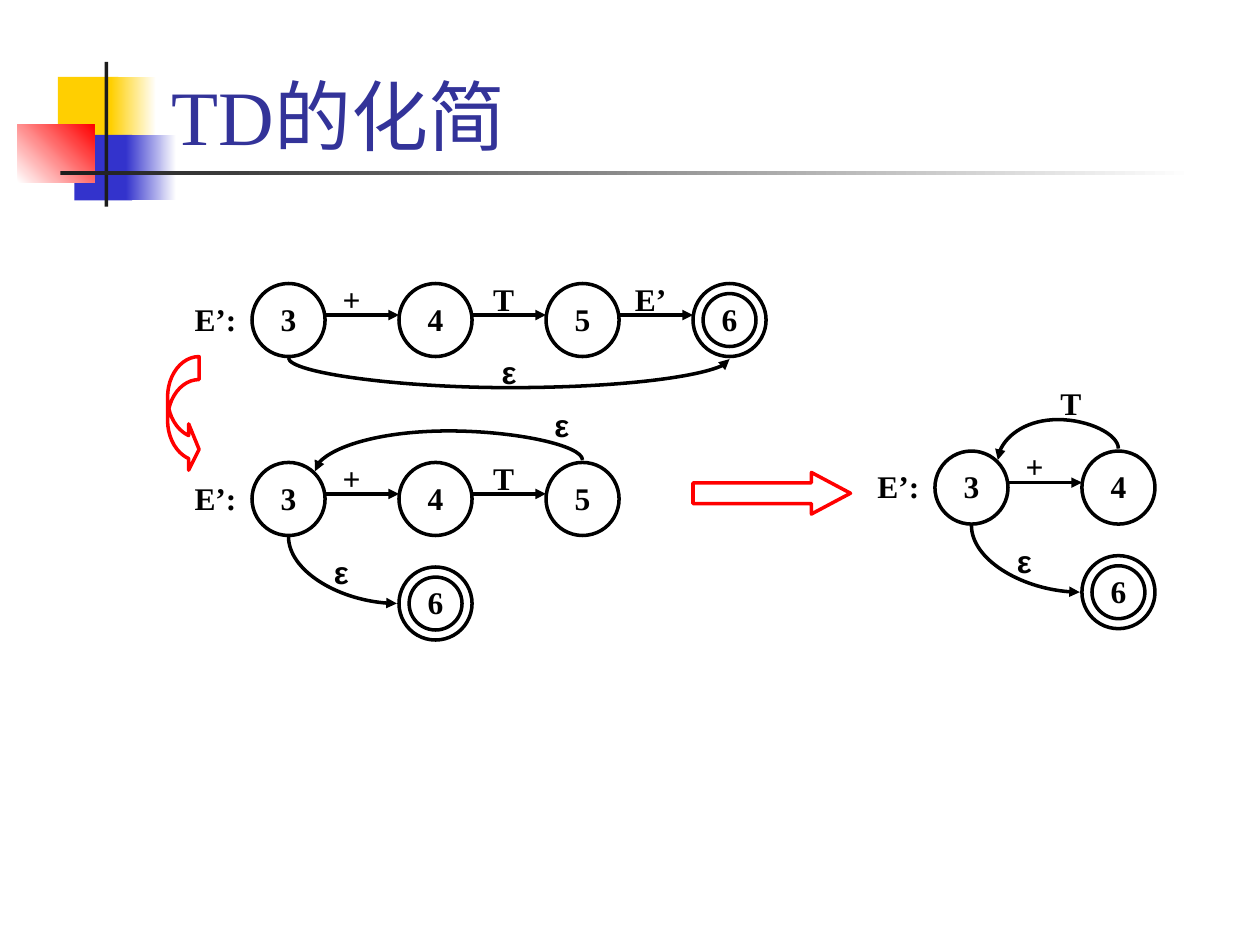
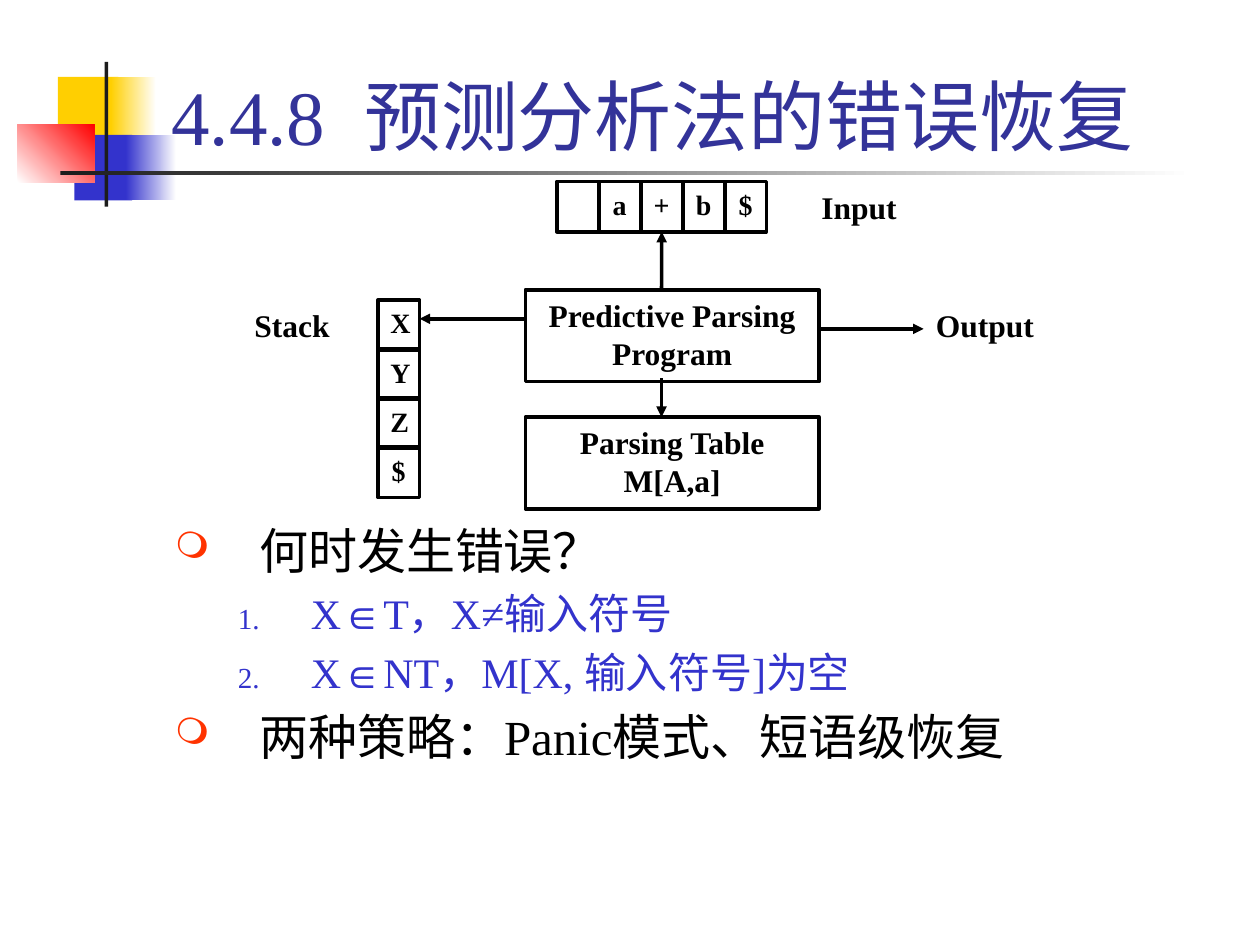
"""Build two slides on simplifying transition diagrams and on predictive parsing error recovery."""
from dataclasses import dataclass
from typing import Optional

from lxml.etree import SubElement
from pptx import Presentation
from pptx.dml.color import RGBColor
from pptx.enum.shapes import MSO_CONNECTOR, MSO_SHAPE
from pptx.enum.text import MSO_ANCHOR, MSO_AUTO_SIZE, PP_ALIGN
from pptx.oxml.ns import qn
from pptx.util import Inches, Pt


@dataclass(frozen=True)
class Theme:
    black: str = "000000"
    white: str = "FFFFFF"
    red: str = "FF0000"
    title: str = "333399"
    blue: str = "3333CC"
    yellow: str = "FFCF01"
    rule: str = "1C1C1C"
    bullet: str = "FF3300"
    font: str = "Times New Roman"
    epsilon_font: str = "Arial"
    title_size: int = 44
    body_size: int = 28
    item_size: int = 24
    label_size: int = 18
    cell_size: int = 16
    line_width: int = 2


@dataclass(frozen=True)
class Band:
    left: float
    top: float
    width: float
    height: float
    start: str
    end: Optional[str] = None
    angle: int = 0


@dataclass(frozen=True)
class Node:
    label: str
    column: int
    drop: float = 0
    final: bool = False


@dataclass(frozen=True)
class Label:
    text: str
    left: float
    top: float
    width: float = 0.42


@dataclass(frozen=True)
class Curve:
    start: tuple[float, float]
    end: tuple[float, float]
    turn: Optional[float] = None


@dataclass(frozen=True)
class TransitionDiagram:
    left: float
    top: float
    nodes: tuple[Node, ...]
    edges: tuple[str, ...]
    curves: tuple[Curve, ...]
    labels: tuple[Label, ...]


@dataclass(frozen=True)
class BodyLine:
    text: str
    numbered: bool = False


THEME = Theme()
BANDS = (
    Band(0.46, 0.61, 0.48, 0.52, THEME.yellow),
    Band(0.88, 0.61, 0.36, 0.52, THEME.yellow, THEME.white),
    Band(0.59, 1.07, 0.46, 0.52, THEME.blue),
    Band(1, 1.07, 0.4, 0.52, THEME.blue, THEME.white),
    Band(0.14, 0.99, 0.61, 0.46, THEME.white, THEME.red, 45),
    Band(0.83, 0.49, 0.03, 1.15, THEME.rule),
    Band(0.48, 1.36, 9, 0.03, THEME.rule, THEME.white),
)
NODE_STEP = 7 / 6
NODE_SIZE = 0.58
RING_GAP = 0.08
LABEL_HEIGHT = 0.4


def return_curve(column: int) -> Curve:
    """Give the arc from the top of a node back to the first node."""
    return Curve((column * NODE_STEP + 0.29, -0.02), (0.5, 0.07), -0.25)


EXIT_NODE = Node("6", 1, 0.83, True)
EXIT_CURVE = Curve((0.29, 0.59), (1.15, 1.12))
EXIT_LABEL = Label("ε", 0.5, 0.67)
DIAGRAMS = (
    TransitionDiagram(
        2, 2.25, (Node("3", 0), Node("4", 1), Node("5", 2), Node("6", 3, final=True)),
        ("+", "T", "E’"), (Curve((0.29, 0.59), (3.79, 0.6), 0.83),), (Label("ε", 1.83, 0.5),)),
    TransitionDiagram(
        2, 3.67, (Node("3", 0), Node("4", 1), Node("5", 2), EXIT_NODE),
        ("+", "T"), (EXIT_CURVE, return_curve(2)), (EXIT_LABEL, Label("ε", 2.25, -0.5))),
    TransitionDiagram(
        7.42, 3.58, (Node("3", 0), Node("4", 1), EXIT_NODE),
        ("+",), (EXIT_CURVE, return_curve(1)), (EXIT_LABEL, Label("T", 0.83, -0.58, 0.5))),
)
BODY_LINES = (
    BodyLine("何时发生错误？"),
    BodyLine("X∈T，X≠输入符号", True),
    BodyLine("X∈NT，M[X, 输入符号]为空", True),
    BodyLine("两种策略：Panic模式、短语级恢复"),
)


def write_text(paragraph, text: str, *, size: int = THEME.label_size, color: str = THEME.black,
               font: str = THEME.font, bold: bool = True, align=PP_ALIGN.CENTER) -> None:
    """Add one formatted run to a paragraph."""
    paragraph.alignment = align
    run = paragraph.add_run()
    run.text = text
    run.font.size = Pt(size)
    run.font.name = font
    run.font.bold = bold
    run.font.color.rgb = RGBColor.from_string(color)


def prepare_frame(text_frame, anchor=MSO_ANCHOR.TOP):
    """Make a frame wrap at a fixed size and return its first paragraph."""
    text_frame.word_wrap = True
    text_frame.auto_size = MSO_AUTO_SIZE.NONE
    text_frame.vertical_anchor = anchor
    return text_frame.paragraphs[0]


def add_label(slide, text: str, left: float, top: float, width: float, **text_format) -> None:
    """Place a one-line text box."""
    box = slide.shapes.add_textbox(Inches(left), Inches(top), Inches(width), Inches(LABEL_HEIGHT))
    write_text(prepare_frame(box.text_frame), text, **text_format)


def add_outline(slide, kind, left: float, top: float, width: float, height: float,
                color: str = THEME.black, text: str = "", size: int = THEME.label_size):
    """Draw an unfilled outlined shape, with text if given."""
    shape = slide.shapes.add_shape(kind, Inches(left), Inches(top), Inches(width), Inches(height))
    shape.shadow.inherit = False
    shape.fill.background()
    shape.line.color.rgb = RGBColor.from_string(color)
    shape.line.width = Pt(THEME.line_width)
    if text:
        write_text(prepare_frame(shape.text_frame), text, size=size)
    return shape


def add_arrow(slide, start: tuple[float, float], end: tuple[float, float],
              kind=MSO_CONNECTOR.STRAIGHT):
    """Draw a connector with an arrowhead at its end."""
    connector = slide.shapes.add_connector(kind, *(Inches(value) for value in (*start, *end)))
    connector.line.color.rgb = RGBColor.from_string(THEME.black)
    connector.line.width = Pt(THEME.line_width)
    properties = connector.element.spPr
    SubElement(properties.find(qn("a:ln")), qn("a:tailEnd"), type="triangle")
    SubElement(properties, qn("a:effectLst"))
    return connector


def add_curve(slide, left: float, top: float, curve: Curve) -> None:
    """Draw a curved arrow that leaves its start vertically and ends lower down."""
    (start_x, start_y), (end_x, end_y) = curve.start, curve.end
    half_drop, half_span = (end_y - start_y) / 2, abs(end_x - start_x) / 2
    center_x, center_y = left + (start_x + end_x) / 2, top + (start_y + end_y) / 2
    connector = add_arrow(slide, (center_x - half_drop, center_y - half_span),
                          (center_x + half_drop, center_y + half_span), MSO_CONNECTOR.CURVE)
    frame = connector.element.spPr.find(qn("a:xfrm"))
    frame.set("rot", str(270 * 60000))
    frame.set("flipH", "1")
    if end_x < start_x:
        frame.set("flipV", "1")
    geometry = connector.element.spPr.find(qn("a:prstGeom"))
    if curve.turn is None:
        geometry.set("prst", "curvedConnector2")
        return
    adjustment = round((curve.turn - start_y) / (end_y - start_y) * 100000)
    SubElement(geometry.find(qn("a:avLst")), qn("a:gd"), name="adj1", fmla=f"val {adjustment}")


def add_band(slide, band: Band) -> None:
    """Draw one solid or fading block of the slide decoration."""
    shape = slide.shapes.add_shape(MSO_SHAPE.RECTANGLE, Inches(band.left), Inches(band.top),
                                   Inches(band.width), Inches(band.height))
    shape.shadow.inherit = False
    shape.line.fill.background()
    if band.end is None:
        shape.fill.solid()
        shape.fill.fore_color.rgb = RGBColor.from_string(band.start)
        return
    shape.fill.gradient()
    shape.fill.gradient_angle = band.angle
    for stop, color in zip(shape.fill.gradient_stops, (band.start, band.end)):
        stop.color.rgb = RGBColor.from_string(color)


def add_titled_slide(presentation, text: str):
    """Add a slide with the shared decoration and a title in front of it."""
    slide = presentation.slides.add_slide(presentation.slide_layouts[5])
    for band in BANDS:
        add_band(slide, band)
    title = slide.shapes.title
    title.element.getparent().append(title.element)
    title.left, title.top = Inches(1.26), Inches(0.08)
    title.width, title.height = Inches(8.52), Inches(1.25)
    write_text(prepare_frame(title.text_frame, MSO_ANCHOR.BOTTOM), text, size=THEME.title_size,
               color=THEME.title, bold=False, align=PP_ALIGN.LEFT)
    return slide


def add_diagram(slide, diagram: TransitionDiagram) -> None:
    """Draw the nodes, arrows and labels of a transition diagram."""
    left, top = diagram.left, diagram.top
    add_label(slide, "E’:", left - 0.58, top + RING_GAP, 0.58)
    for node in diagram.nodes:
        x, y = left + node.column * NODE_STEP, top + node.drop
        inner = NODE_SIZE - 2 * RING_GAP
        add_outline(slide, MSO_SHAPE.OVAL, x, y, NODE_SIZE, NODE_SIZE)
        if node.final:
            add_outline(slide, MSO_SHAPE.OVAL, x + RING_GAP, y + RING_GAP, inner, inner)
        add_label(slide, node.label, x + RING_GAP, y + RING_GAP, inner)
    for column, symbol in enumerate(diagram.edges):
        x = left + column * NODE_STEP + NODE_SIZE
        add_arrow(slide, (x, top + 0.25), (x + NODE_STEP - NODE_SIZE, top + 0.25))
        add_label(slide, symbol, x, top - RING_GAP, 0.42 if symbol == "+" else 0.5)
    for curve in diagram.curves:
        add_curve(slide, left, top, curve)
    for label in diagram.labels:
        font = THEME.epsilon_font if label.text == "ε" else THEME.font
        add_label(slide, label.text, left + label.left, top + label.top, label.width, font=font)


def add_body(slide) -> None:
    """Write the bulleted and numbered lines under the parser model."""
    box = slide.shapes.add_textbox(Inches(1.29), Inches(4.08), Inches(8.5), Inches(3.08))
    prepare_frame(box.text_frame)
    for index, line in enumerate(BODY_LINES):
        paragraph = box.text_frame.add_paragraph() if index else box.text_frame.paragraphs[0]
        paragraph.level = int(line.numbered)
        size = THEME.item_size if line.numbered else THEME.body_size
        indent, hanging = (1.08, 0.58) if line.numbered else (0.67, 0.67)
        properties = paragraph._p.get_or_add_pPr()
        properties.set("marL", str(Inches(indent)))
        properties.set("indent", str(-Inches(hanging)))
        color = SubElement(properties, qn("a:buClr"))
        SubElement(color, qn("a:srgbClr"), val=THEME.blue if line.numbered else THEME.bullet)
        SubElement(properties, qn("a:buSzPct"), val="69000" if line.numbered else "75000")
        if line.numbered:
            SubElement(properties, qn("a:buFont"), typeface=THEME.font)
            SubElement(properties, qn("a:buAutoNum"), type="arabicPeriod")
        else:
            SubElement(properties, qn("a:buChar"), char="❍")
        if index:
            paragraph.space_before = Pt(size * 0.2)
        write_text(paragraph, line.text, size=size, bold=False, align=PP_ALIGN.LEFT,
                   color=THEME.blue if line.numbered else THEME.black)


def add_parser_model(slide) -> None:
    """Draw the input row, the stack, the program, the table and their arrows."""
    input_cells = [
        add_outline(slide, MSO_SHAPE.RECTANGLE, 4.42 + index / 3, 1.44, 0.33, 0.4,
                    text=symbol, size=THEME.cell_size)
        for index, symbol in enumerate(("", "a", "+", "b", "$"))]
    for index, symbol in enumerate("XYZ$"):
        add_outline(slide, MSO_SHAPE.RECTANGLE, 3, 2.38 + index * 0.39, 0.33, 0.4,
                    text=symbol, size=THEME.cell_size)
    for text, top in (("Predictive Parsing Program", 2.3), ("Parsing Table M[A,a]", 3.31)):
        add_outline(slide, MSO_SHAPE.RECTANGLE, 4.17, top, 2.33, 0.73, text=text)
    for label in (Label("Input", 6.42, 1.44, 0.92), Label("Stack", 1.92, 2.38, 0.92),
                  Label("Output", 7.33, 2.38, 1.25)):
        add_label(slide, label.text, label.left, label.top, label.width, align=PP_ALIGN.LEFT)
    add_arrow(slide, (5.25, 2.3), (5.25, 1.84)).end_connect(input_cells[2], 2)
    add_arrow(slide, (4.17, 2.53), (3.33, 2.53))
    add_arrow(slide, (5.25, 3), (5.25, 3.31))
    add_arrow(slide, (6.5, 2.61), (7.33, 2.61))


def main() -> None:
    """Build and save the presentation."""
    presentation = Presentation()
    presentation.slide_width, presentation.slide_height = Inches(10), Inches(7.5)
    slide = add_titled_slide(presentation, "TD的化简")
    for diagram in DIAGRAMS:
        add_diagram(slide, diagram)
    bend = add_outline(slide, MSO_SHAPE.CURVED_RIGHT_ARROW, 1.33, 2.83, 0.25, 0.92, THEME.red)
    bend.adjustments[0], bend.adjustments[1], bend.adjustments[2] = 0.73, 1.47, 0.33
    arrow = add_outline(slide, MSO_SHAPE.RIGHT_ARROW, 5.5, 3.75, 1.25, 0.33, THEME.red)
    arrow.adjustments[0], arrow.adjustments[1] = 0.5, 0.94
    slide = add_titled_slide(presentation, "4.4.8  预测分析法的错误恢复")
    add_body(slide)
    add_parser_model(slide)
    presentation.save("out.pptx")


if __name__ == "__main__":
    main()
